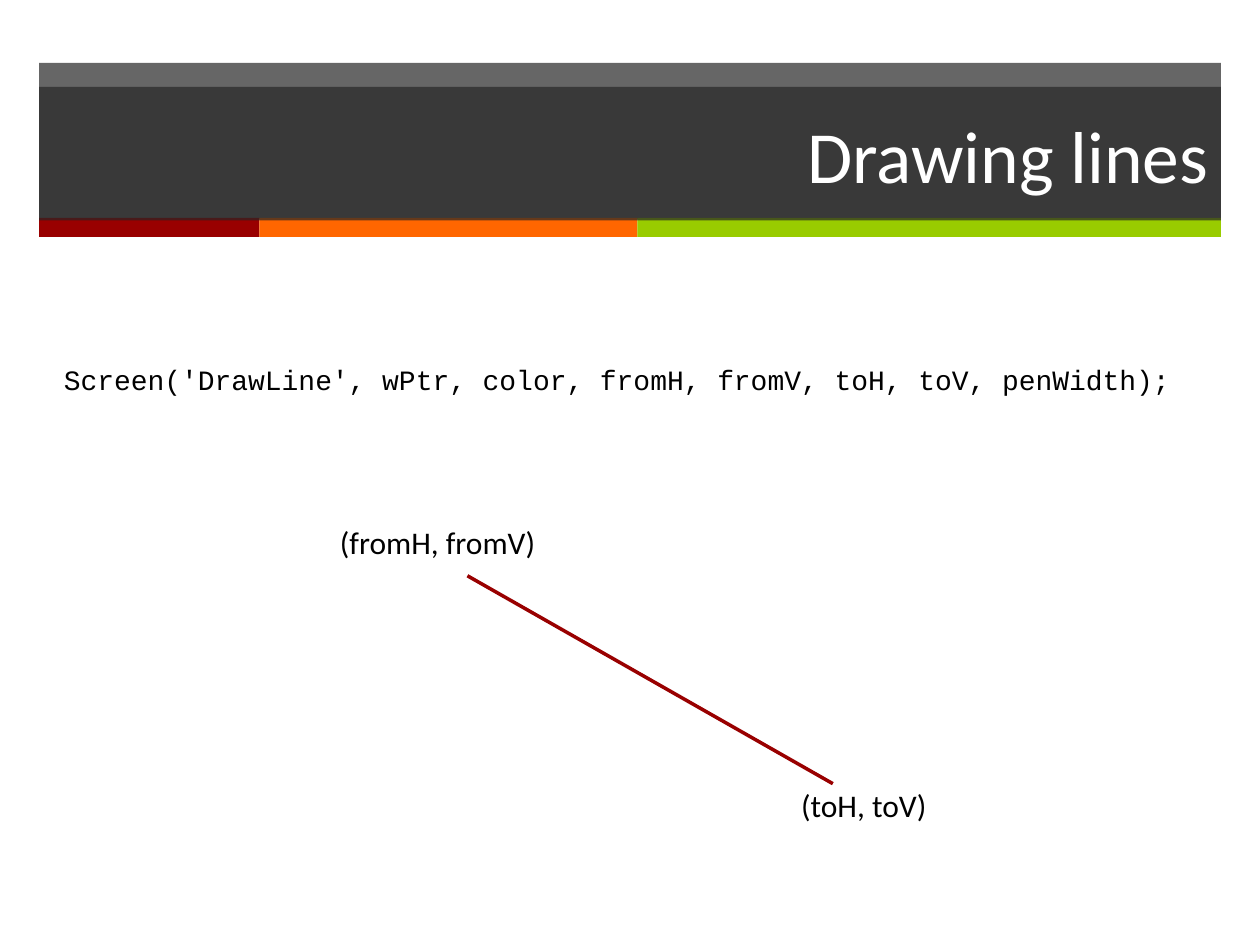
from dataclasses import dataclass

from lxml.etree import SubElement
from pptx import Presentation
from pptx.dml.color import RGBColor as RGB
from pptx.enum.shapes import MSO_CONNECTOR as Connector, MSO_SHAPE as Shape
from pptx.enum.text import MSO_ANCHOR as Anchor, MSO_AUTO_SIZE as AutoSize, PP_ALIGN as Align
from pptx.oxml.ns import qn
from pptx.util import Inches, Pt


@dataclass(frozen=True)
class Theme:
    """Colours, fonts and type sizes of the slide."""
    band: RGB = RGB(0x26, 0x26, 0x26)
    red: RGB = RGB(0x99, 0x00, 0x00)
    orange: RGB = RGB(0xFF, 0x66, 0x00)
    green: RGB = RGB(0x99, 0xCC, 0x00)
    white: RGB = RGB(0xFF, 0xFF, 0xFF)
    black: RGB = RGB(0x00, 0x00, 0x00)
    body_font: str = "Calibri"
    code_font: str = "Courier New"
    title_size: int = 42
    label_size: int = 18
    code_size: int = 16
    band_opacity: int = 70
    line_width: int = 2


def write_text(frame, text, *, font, size, color, align=Align.LEFT, anchor=Anchor.TOP):
    """Put one formatted paragraph into a text frame."""
    frame.word_wrap = True
    frame.vertical_anchor = anchor
    paragraph = frame.paragraphs[0]
    paragraph.alignment = align
    run = paragraph.add_run()
    run.text = text
    run.font.name = font
    run.font.size = Pt(size)
    run.font.color.rgb = color


class SlideBuilder:
    """Holds the theme and the current slide and adds elements to it."""

    def __init__(self, slide, theme):
        """Keep the slide and its theme."""
        self.slide = slide
        self.theme = theme

    def paint(self, shape, color, opacity=100):
        """Give a shape a solid, optionally translucent fill."""
        shape.fill.solid()
        shape.fill.fore_color.rgb = color
        if opacity < 100:
            swatch = shape.element.spPr.find(qn("a:solidFill"))[0]
            SubElement(swatch, qn("a:alpha"), val=str(opacity * 1000))

    def bar(self, left, top, width, height, color, opacity=100):
        """Add a borderless rectangle."""
        bar = self.slide.shapes.add_shape(
            Shape.RECTANGLE, Inches(left), Inches(top), Inches(width), Inches(height))
        bar.shadow.inherit = False
        bar.line.fill.background()
        self.paint(bar, color, opacity)

    def title(self, text, left, top, width, height):
        """Place the title placeholder in front of what is already drawn."""
        title = self.slide.shapes.title
        title.left, title.top = Inches(left), Inches(top)
        title.width, title.height = Inches(width), Inches(height)
        title.element.getparent().append(title.element)
        self.paint(title, self.theme.band, self.theme.band_opacity)
        title.text_frame.auto_size = AutoSize.NONE
        write_text(title.text_frame, text, font=self.theme.body_font,
                   size=self.theme.title_size, color=self.theme.white,
                   align=Align.RIGHT, anchor=Anchor.MIDDLE)

    def text(self, text, left, top, width, height, font, size):
        """Add a text box that grows with its text."""
        box = self.slide.shapes.add_textbox(
            Inches(left), Inches(top), Inches(width), Inches(height))
        box.text_frame.auto_size = AutoSize.SHAPE_TO_FIT_TEXT
        write_text(box.text_frame, text, font=font, size=size, color=self.theme.black)

    def label(self, text, left, top, width):
        """Add a point label."""
        self.text(text, left, top, width, 0.4, self.theme.body_font, self.theme.label_size)

    def line(self, start, end, color):
        """Add a straight line between two points."""
        line = self.slide.shapes.add_connector(
            Connector.STRAIGHT, *map(Inches, start), *map(Inches, end))
        line.line.color.rgb = color
        line.line.width = Pt(self.theme.line_width)
        SubElement(line.element.spPr, qn("a:effectLst"))


def main():
    """Build and save the slide."""
    deck = Presentation()
    deck.slide_width, deck.slide_height = Inches(10), Inches(7.5)
    theme = Theme()
    builder = SlideBuilder(deck.slides.add_slide(deck.slide_layouts[5]), theme)

    margin, content_width = 0.31, 9.38
    builder.bar(margin, 0.5, content_width, 1.24, theme.band, theme.band_opacity)
    stripe_left = margin
    for stripe_width, color in ((1.75, theme.red), (3, theme.orange), (4.63, theme.green)):
        builder.bar(stripe_left, 1.73, stripe_width, 0.15, color)
        stripe_left += stripe_width
    builder.title("Drawing lines", margin, 0.69, content_width, 1.06)

    builder.text("Screen('DrawLine', wPtr, color, fromH, fromV, toH, toV, penWidth);",
                 0.41, 2.83, 9.23, 0.67, theme.code_font, theme.code_size)
    builder.line((3.71, 4.57), (6.61, 6.22), theme.red)
    builder.label("(fromH, fromV)", 2.6, 4.1, 2.07)
    builder.label("(toH, toV)", 6.26, 6.19, 1.31)

    deck.save("out.pptx")


if __name__ == "__main__":
    main()
